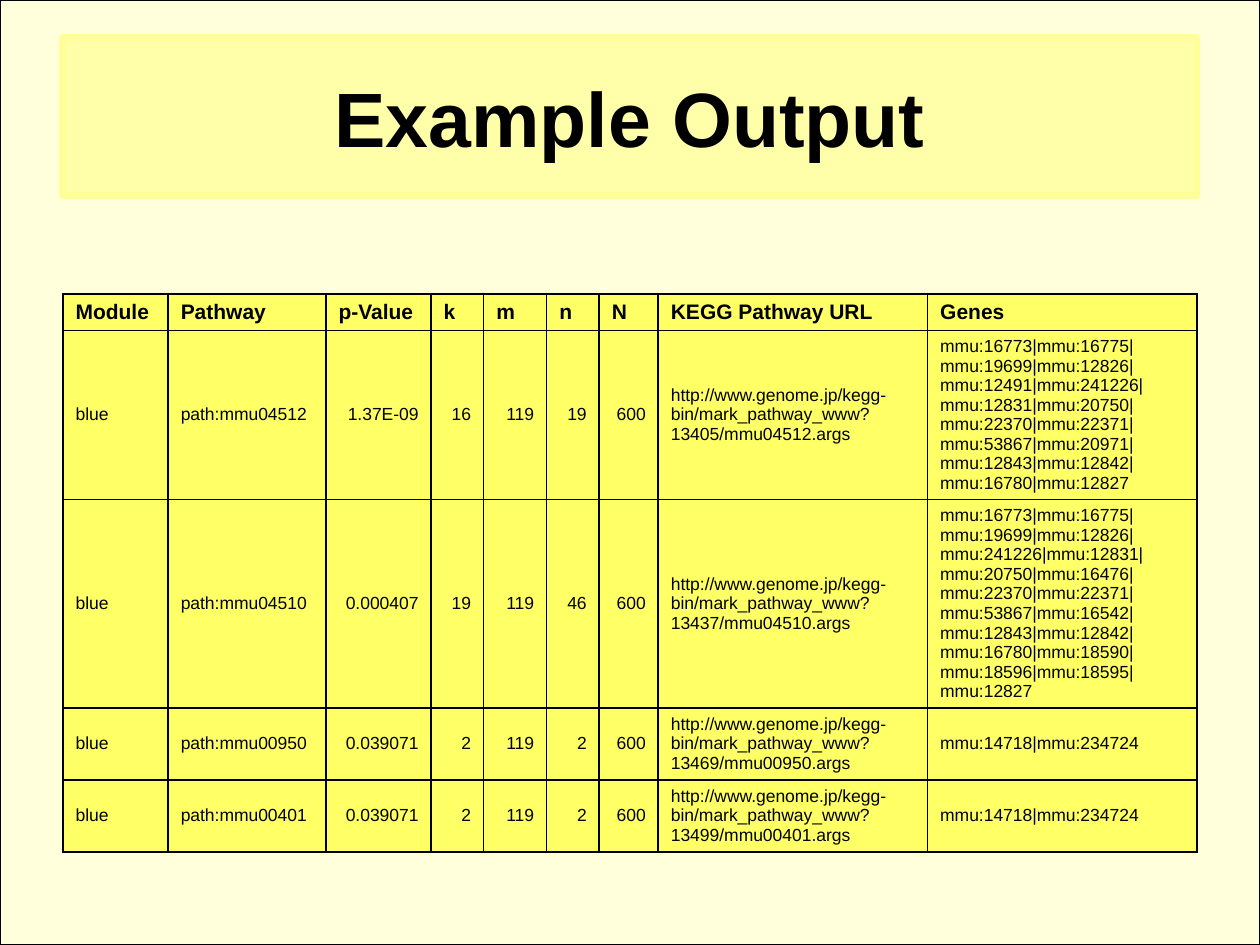
"""Builds the pathway enrichment example slide."""
from dataclasses import dataclass

from lxml import etree
from pptx import Presentation
from pptx import util as u
from pptx.dml.color import RGBColor
from pptx.enum import shapes, text
from pptx.oxml.ns import qn


@dataclass(frozen=True)
class Theme:
    """Colours, type sizes and line widths of the slide."""
    ink: str = "000000"
    pale: str = "FFFF99"
    cell: str = "FFFF66"
    font: str = "Arial"
    title: float = 44
    header: float = 12
    body: float = 10
    frame: float = 0.75
    title_frame: float = 4
    grid: float = 1.08


THEME = Theme()
LEFT, RIGHT, CENTER = text.PP_ALIGN.LEFT, text.PP_ALIGN.RIGHT, text.PP_ALIGN.CENTER
COLUMNS = [
    ("Module", 2.12, LEFT), ("Pathway", 3.18, LEFT), ("p-Value", 2.12, RIGHT),
    ("k", 1.06, RIGHT), ("m", 1.27, RIGHT), ("n", 1.06, RIGHT), ("N", 1.19, RIGHT),
    ("KEGG Pathway URL", 5.43, LEFT), ("Genes", 5.43, LEFT),
]
HEADER_HEIGHT = 0.74
RESULTS = [
    (3.41, "mmu04512", "1.37E-09", 16, 19, 13405,
     "mmu:16773|mmu:16775|mmu:19699|mmu:12826|mmu:12491|mmu:241226|mmu:12831|mmu:20750|"
     "mmu:22370|mmu:22371|mmu:53867|mmu:20971|mmu:12843|mmu:12842|mmu:16780|mmu:12827"),
    (4.2, "mmu04510", "0.000407", 19, 46, 13437,
     "mmu:16773|mmu:16775|mmu:19699|mmu:12826|mmu:241226|mmu:12831|mmu:20750|mmu:16476|"
     "mmu:22370|mmu:22371|mmu:53867|mmu:16542|mmu:12843|mmu:12842|mmu:16780|mmu:18590|"
     "mmu:18596|mmu:18595|mmu:12827"),
    (1.45, "mmu00950", "0.039071", 2, 2, 13469, "mmu:14718|mmu:234724"),
    (1.45, "mmu00401", "0.039071", 2, 2, 13499, "mmu:14718|mmu:234724"),
]


def write(frame, content, size, align=LEFT, bold=False):
    """Put one formatted paragraph into a text frame."""
    frame.word_wrap = True
    paragraph = frame.paragraphs[0]
    paragraph.alignment = align
    run = paragraph.add_run()
    run.text = content
    run.font.name = THEME.font
    run.font.size = u.Pt(size)
    run.font.bold = bold
    run.font.color.rgb = RGBColor.from_string(THEME.ink)


def add_panel(slide, box, opacity, line, width):
    """Add a translucent pale rectangle with an outline."""
    panel = slide.shapes.add_shape(shapes.MSO_SHAPE.RECTANGLE, *map(u.Cm, box))
    panel.shadow.inherit = False
    panel.fill.solid()
    panel.fill.fore_color.rgb = RGBColor.from_string(THEME.pale)
    colour = panel.fill._xPr.find(qn("a:solidFill"))[0]
    etree.SubElement(colour, qn("a:alpha"), val=str(opacity * 1000))
    panel.line.color.rgb = RGBColor.from_string(line)
    panel.line.width = u.Pt(width)
    return panel


def add_title(slide, box):
    """Add the title banner."""
    banner = add_panel(slide, box, 75, THEME.pale, THEME.title_frame)
    banner.text_frame.vertical_anchor = text.MSO_ANCHOR.MIDDLE
    write(banner.text_frame, "Example Output", THEME.title, CENTER, bold=True)


def style_cell(cell):
    """Give a cell its borders, fill and vertical centring."""
    properties = cell._tc.get_or_add_tcPr()
    for side in ("lnL", "lnR", "lnT", "lnB"):
        border = etree.SubElement(properties, qn(f"a:{side}"), w=str(int(u.Pt(THEME.grid))))
        fill = etree.SubElement(border, qn("a:solidFill"))
        etree.SubElement(fill, qn("a:srgbClr"), val=THEME.ink)
    cell.fill.solid()
    cell.fill.fore_color.rgb = RGBColor.from_string(THEME.cell)
    cell.vertical_anchor = text.MSO_ANCHOR.MIDDLE


def result_cells(pathway, p_value, k, n, job, genes):
    """Return the cell texts of one pathway result."""
    url = f"http://www.genome.jp/kegg-bin/mark_pathway_www?{job}/{pathway}.args"
    return ["blue", f"path:{pathway}", p_value, str(k), "119", str(n), "600", url, genes]


def add_results(slide, left, top):
    """Add the table of enriched pathways."""
    names, widths, aligns = zip(*COLUMNS)
    heights = [HEADER_HEIGHT] + [result[0] for result in RESULTS]
    rows = [names] + [result_cells(*result[1:]) for result in RESULTS]
    box = (left, top, sum(widths), sum(heights))
    table = slide.shapes.add_table(len(rows), len(names), *map(u.Cm, box)).table
    table.horz_banding = False
    for column, width in zip(table.columns, widths):
        column.width = u.Cm(width)
    for row, height in zip(table.rows, heights):
        row.height = u.Cm(height)
    for i, row in enumerate(rows):
        for j, content in enumerate(row):
            cell = table.cell(i, j)
            style_cell(cell)
            if i == 0:
                write(cell.text_frame, content, THEME.header, bold=True)
            else:
                write(cell.text_frame, content, THEME.body, aligns[j])


def main():
    """Build and save the slide."""
    deck = Presentation()
    deck.slide_width, deck.slide_height = u.Cm(25.4), u.Cm(19.05)
    slide = deck.slides.add_slide(deck.slide_layouts[6])
    add_panel(slide, (0, 0, 25.4, 19.05), 35, THEME.ink, THEME.frame)
    add_title(slide, (1.27, 0.76, 22.86, 3.18))
    add_results(slide, 1.27, 5.92)
    deck.save("out.pptx")


if __name__ == "__main__":
    main()
